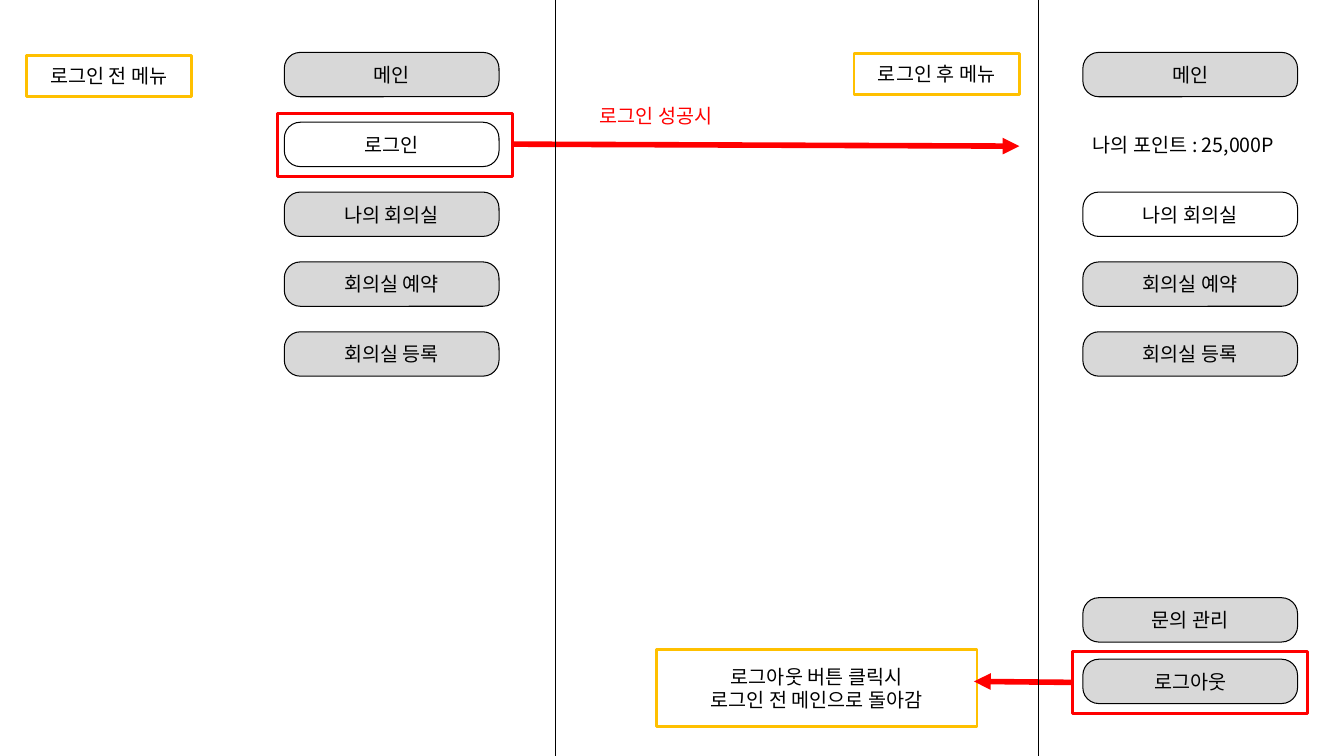
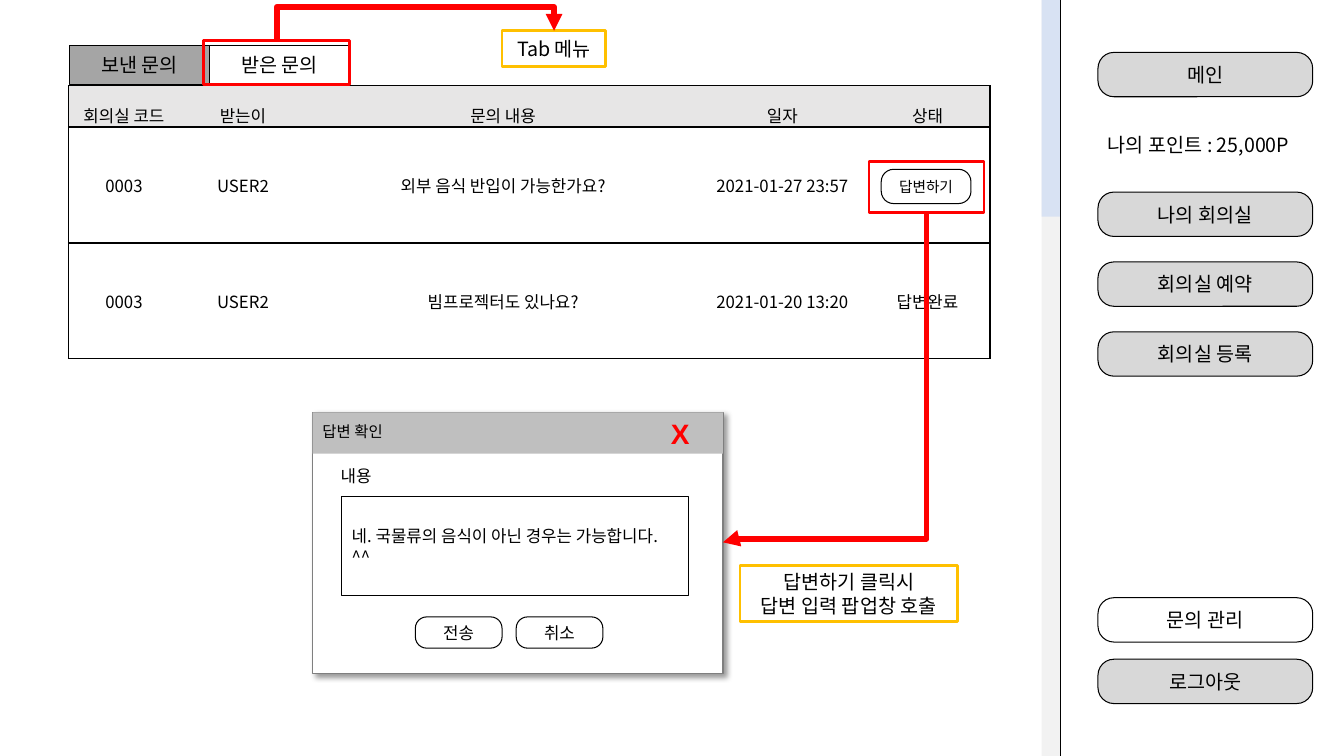
from lxml.etree import SubElement
from pptx import Presentation
from pptx.dml.color import RGBColor
from pptx.enum.shapes import MSO_CONNECTOR as LINK, MSO_SHAPE as SHAPE
from pptx.enum.text import MSO_ANCHOR as ANCHOR, PP_ALIGN as ALIGN
from pptx.oxml.ns import qn
from pptx.util import Inches, Pt

BLACK = RGBColor(0x00, 0x00, 0x00)
WHITE = RGBColor(0xFF, 0xFF, 0xFF)
RED = RGBColor(0xFF, 0x00, 0x00)
AMBER = RGBColor(0xFF, 0xC0, 0x00)
BUTTON_GREY = RGBColor(0xD8, 0xD8, 0xD8)
TAB_GREY = RGBColor(0xA5, 0xA5, 0xA5)
HEADER_GREY = RGBColor(0xE7, 0xE6, 0xE6)
TITLE_GREY = RGBColor(0xBF, 0xBF, 0xBF)
EDGE_GREY = RGBColor(0x7F, 0x7F, 0x7F)
TRACK_GREY = RGBColor(0xF2, 0xF2, 0xF2)
THUMB_BLUE = RGBColor(0xD8, 0xE2, 0xF3)
KOREAN = "Noto Sans CJK KR"

deck = Presentation()
deck.slide_width, deck.slide_height = Inches(13.33), Inches(7.5)
ROWS = 75
CELL = deck.slide_height / ROWS  # square grid cell, used for columns and rows


def write(frame, text, size=14, color=BLACK, font=KOREAN, bold=False,
          align=ALIGN.CENTER, spacing=None):
    for number, line in enumerate(text.split("\n")):
        paragraph = frame.add_paragraph() if number else frame.paragraphs[0]
        paragraph.alignment, paragraph.line_spacing = align, spacing
        run = paragraph.add_run()
        run.text = line
        run.font.size, run.font.bold, run.font.name = Pt(size), bold, font
        run.font.color.rgb = color
        SubElement(run.font._element, qn("a:ea"), typeface=font)


def add_box(slide, place, text="", kind=SHAPE.RECTANGLE, fill=WHITE, edge=BLACK,
            weight=0.75, anchor=ANCHOR.MIDDLE, **style):
    left, top, width, height = [round(CELL * n) for n in place]
    if kind is None:
        box = slide.shapes.add_textbox(left, top, width, height)
        anchor = ANCHOR.TOP
    else:
        box = slide.shapes.add_shape(kind, left, top, width, height)
        box.shadow.inherit = False
        if kind == SHAPE.ROUNDED_RECTANGLE:
            box.adjustments[0] = 0.36
        if fill is None:
            box.fill.background()
        else:
            box.fill.solid()
            box.fill.fore_color.rgb = fill
        if edge is None:
            box.line.fill.background()
        else:
            box.line.color.rgb, box.line.width = edge, Pt(weight)
    box.text_frame.word_wrap = True
    box.text_frame.vertical_anchor = anchor
    if text:
        write(box.text_frame, text, **style)
    return box


blank = deck.slide_layouts[6]
login_flow, inquiries = [deck.slides.add_slide(blank) for _ in range(2)]
pill = dict(kind=SHAPE.ROUNDED_RECTANGLE)
callout = dict(edge=AMBER, weight=2)
highlight = dict(fill=None, edge=RED, weight=2)

# Side menus: label -> top row
MENU_TOP, MENU_STEP = 5.2, 6.93
menu_rows = {label: MENU_TOP + MENU_STEP * slot for slot, label in
             enumerate(["메인", "로그인", "나의 회의실", "회의실 예약", "회의실 등록"])}
member_rows = {label: row for label, row in menu_rows.items() if label != "로그인"}
member_rows.update({"문의 관리": 59.3, "로그아웃": 65.4})
for slide, left, rows, current in [(login_flow, 28.2, menu_rows, "로그인"),
                                   (login_flow, 107.4, member_rows, "나의 회의실"),
                                   (inquiries, 108.9, member_rows, "문의 관리")]:
    for label, row in rows.items():
        add_box(slide, (left, row, 21.3, 4.4), label, **pill,
                fill=WHITE if label == current else BUTTON_GREY)
    if rows is member_rows:
        add_box(slide, (left, 12.7, 24, 3.4), "나의 포인트 : 25,000P",
                kind=None, align=ALIGN.LEFT)

# Login flow: callouts and highlights
for place, text in [((65.1, 64.4, 31.8, 7.7), "로그아웃 버튼 클릭시\n로그인 전 메인으로 돌아감"),
                    ((2.6, 5.5, 16.4, 4.1), "로그인 전 메뉴"),
                    ((84.7, 5.3, 16.4, 4.1), "로그인 후 메뉴")]:
    add_box(login_flow, place, text, **callout)
for left, top in [(27.5, 11.3), (106.4, 64.6)]:
    add_box(login_flow, (left, top, 23.3, 6.2), **highlight)
add_box(login_flow, (58.5, 9.8, 14.5, 3.4), "로그인 성공시",
        kind=None, color=RED, align=ALIGN.LEFT)

# Inquiry table
inquiry_rows = [["회의실 코드", "받는이", "문의 내용", "일자", "상태"],
                ["0003", "USER2", "외부 음식 반입이 가능한가요?", "2021-01-27 23:57", ""],
                ["0003", "USER2", "빔프로젝터도 있나요?", "2021-01-20 13:20", "답변완료"]]
column_widths, row_heights = [11, 12.6, 39, 16.4, 12.4], [4.1, 11.5, 11.5]
table = inquiries.shapes.add_table(
    len(row_heights), len(column_widths), round(CELL * 6.8), round(CELL * 8.5),
    round(CELL * sum(column_widths)), round(CELL * sum(row_heights))).table
table.first_row = table.horz_banding = False
table._tbl.tblPr.find(qn("a:tableStyleId")).text = "{2D5ABB26-0587-4C30-8999-92F81FD0307C}"
for column, width in zip(table.columns, column_widths):
    column.width = round(CELL * width)
for r, (texts, height) in enumerate(zip(inquiry_rows, row_heights)):
    table.rows[r].height = round(CELL * height)
    for c, text in enumerate(texts):
        cell = table.cell(r, c)
        sides = ["lnL"] * (c == 0) + ["lnR"] * (c == len(texts) - 1) + ["lnT", "lnB"]
        for side in sides:
            border = SubElement(cell._tc.get_or_add_tcPr(), qn(f"a:{side}"), w=str(Pt(1)))
            SubElement(SubElement(border, qn("a:solidFill")), qn("a:srgbClr"), val=str(BLACK))
        cell.fill.solid()
        cell.fill.fore_color.rgb = WHITE if r else HEADER_GREY
        cell.vertical_anchor = ANCHOR.MIDDLE if r else ANCHOR.TOP
        if text:
            write(cell.text_frame, text, size=12, spacing=None if r else 1.5)
add_box(inquiries, (87.4, 16.8, 8.9, 3.4), "답변하기", **pill, size=10.5)

# Scroll bar
for height, color in [(ROWS, TRACK_GREY), (21.5, THUMB_BLUE)]:
    add_box(inquiries, (103.3, 0, 1.9, height), fill=color, edge=None)

# Reply popup
popup = add_box(inquiries, (31, 40.9, 40.7, 25.9), edge=EDGE_GREY, weight=1)
shadow = SubElement(popup._element.spPr.find(qn("a:effectLst")), qn("a:outerShdw"),
                    blurRad=str(Pt(4)), dist=str(Pt(3)), dir="2700000", algn="tl")
SubElement(SubElement(shadow, qn("a:srgbClr"), val=str(BLACK)), qn("a:alpha"), val="40000")
title_bar = add_box(inquiries, (31, 40.9, 40.7, 4.1), "X", fill=TITLE_GREY, edge=None,
                    size=20, color=RED, font="Arial", bold=True, align=ALIGN.RIGHT)
title_bar.text_frame.margin_right = round(CELL * 3.3)
for slot, label in enumerate(["전송", "취소"]):
    add_box(inquiries, (41.2 + 10 * slot, 61.2, 8.6, 3.1), label, **pill, size=12)
for place, text, size in [((31, 41.4, 12, 2.9), "답변 확인", 11),
                          ((32.8, 45.7, 8, 3), "내용", 12)]:
    add_box(inquiries, place, text, kind=None, size=size, align=ALIGN.LEFT)
add_box(inquiries, (33.9, 49.3, 34.4, 9.8), "네. 국물류의 음식이 아닌 경우는 가능합니다. ^^",
        size=12, align=ALIGN.LEFT)

# Tabs, callouts and highlights
TAB_WIDTH = 13.9
for slot, (label, fill) in enumerate([("보낸 문의", TAB_GREY), ("받은 문의", WHITE)]):
    add_box(inquiries, (6.9 + TAB_WIDTH * slot, 4.5, TAB_WIDTH, 3.9), label, fill=fill)
for place, text in [((49.8, 3, 10.3, 3.6), "Tab 메뉴"),
                    ((73.4, 56.1, 21.6, 5.6), "답변하기 클릭시\n답변 입력 팝업창 호출")]:
    add_box(inquiries, place, text, **callout)
for place in [(20.2, 4, 14.5, 4.4), (86.2, 16, 11.4, 5.1)]:
    add_box(inquiries, place, **highlight)

# Dividers and arrows: ends before the turn, quarter turns, bend as a share of the width
for slide, ends, is_arrow, turns, bend in [
        (login_flow, (50.7, 14.3, 101.1, 14.5), True, 0, None),
        (login_flow, (106.3, 67.7, 96.6, 67.6), True, 0, None),
        (login_flow, (55.1, 0, 55.1, ROWS), False, 0, None),
        (login_flow, (103, 0, 103, ROWS), False, 0, None),
        (inquiries, (105.2, 0, 105.2, ROWS), False, 0, None),
        (inquiries, (40.7, -10.2, 41.7, 17.3), True, 3, 3.38),
        (inquiries, (65.4, 27.3, 98.2, 47.5), True, 1, 0.99)]:
    link = slide.shapes.add_connector(LINK.ELBOW if bend else LINK.STRAIGHT,
                                      *[round(CELL * n) for n in ends])
    link.line.color.rgb = RED if is_arrow else BLACK
    link.line.width = Pt(4 if is_arrow else 0.75)
    properties = link._element.spPr
    if is_arrow:
        SubElement(link.line._get_or_add_ln(), qn("a:tailEnd"), type="triangle")
    if bend:
        properties.find(qn("a:xfrm")).set("rot", str(turns * 5400000))
        SubElement(properties.find(qn("a:prstGeom")).find(qn("a:avLst")), qn("a:gd"),
                   name="adj1", fmla=f"val {round(bend * 100000)}")
    SubElement(properties, qn("a:effectLst"))

deck.save("out.pptx")
